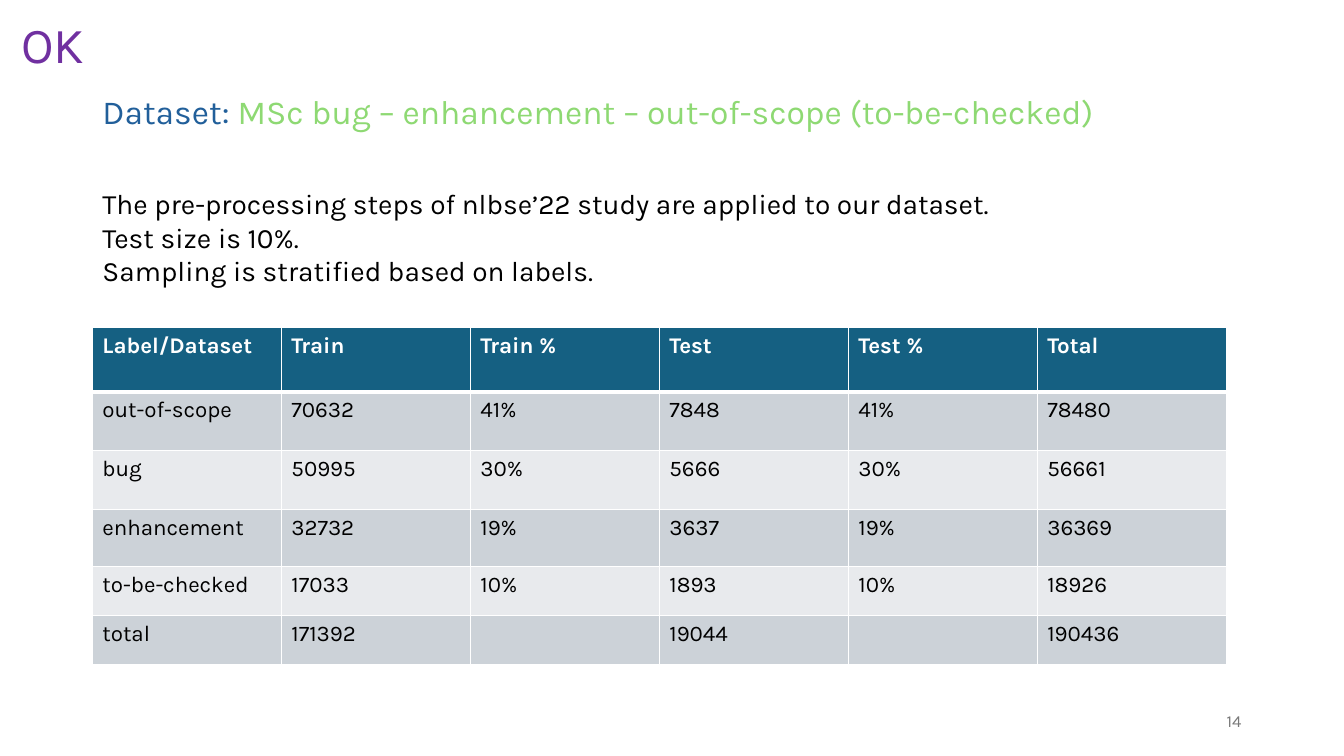
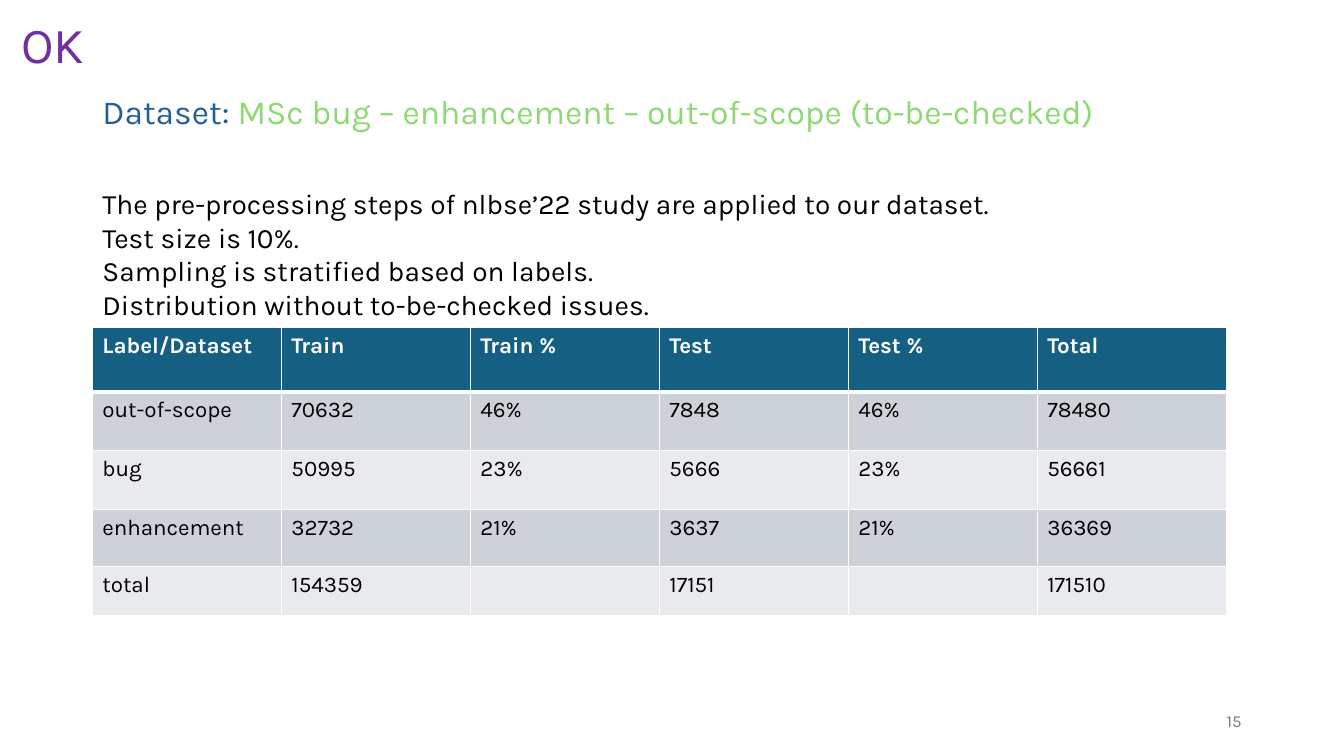
"""Build two dataset slides, each with an intro and a label distribution table."""
from lxml.etree import SubElement
from pptx import Presentation
from pptx.dml.color import RGBColor
from pptx.enum.text import MSO_ANCHOR, MSO_AUTO_SIZE, PP_ALIGN
from pptx.oxml.ns import qn
from pptx.util import Pt

INTRO = [
    "The pre-processing steps of nlbse’22 study are applied to our dataset.",
    "Test size is 10%.",
    "Sampling is stratified based on labels.",
]
HEADER = ["Label/Dataset", "Train", "Train %", "Test", "Test %", "Total"]


def color(value):
    return RGBColor.from_string(value)


def write(para, text, size=16, fill="000000", bold=False):
    span = para.add_run()
    span.text = text
    span.font.name = "Karla"
    span.font.size = Pt(size)
    span.font.bold = bold
    span.font.color.rgb = color(fill)


def place(shape, left, top, width, height):
    shape.left, shape.top = Pt(left), Pt(top)
    shape.width, shape.height = Pt(width), Pt(height)


def border(cell, side, width):
    line = SubElement(cell._tc.get_or_add_tcPr(), qn(f"a:ln{side}"), w=str(Pt(width)))
    SubElement(SubElement(line, qn("a:solidFill")), qn("a:srgbClr"), val="FFFFFF")


class DatasetDeck:
    left = 66
    blue, green, purple, grey = "215F9A", "8ED973", "7030A0", "797979"
    header_fill, band_fills = "156082", ("CCD2D8", "E8EAED")
    column_width = 135
    row_heights = (46, 42, 42, 41)
    short_row = 35

    def __init__(self):
        self.deck = Presentation()
        self.deck.slide_width, self.deck.slide_height = Pt(960), Pt(540)
        self.page = None

    def add_page(self, number):
        self.page = self.deck.slides.add_slide(self.deck.slide_layouts[1])
        self.add_title("Dataset: ", "MSc bug – enhancement – out-of-scope (to-be-checked)")
        self.add_label("OK", (8, 6, 153, 51), size=36, fill=self.purple)
        self.add_label(str(number), (678, 500, 216, 29), align=PP_ALIGN.RIGHT,
                       anchor=MSO_ANCHOR.MIDDLE, size=12, fill=self.grey)

    def add_title(self, lead, topic):
        title = self.page.shapes.title
        place(title, self.left, 29, 893, 104)
        title.text_frame.auto_size = MSO_AUTO_SIZE.NONE
        title.text_frame.vertical_anchor = MSO_ANCHOR.MIDDLE
        para = title.text_frame.paragraphs[0]
        para.alignment = PP_ALIGN.LEFT
        para.line_spacing = 0.9
        write(para, lead, size=24, fill=self.blue)
        write(para, topic, size=24, fill=self.green)

    def add_label(self, text, area, align=PP_ALIGN.LEFT, anchor=MSO_ANCHOR.TOP, **style):
        box = self.page.shapes.add_textbox(*map(Pt, area))
        box.text_frame.word_wrap = True
        box.text_frame.vertical_anchor = anchor
        para = box.text_frame.paragraphs[0]
        para.alignment = align
        write(para, text, **style)

    def add_body(self, lines):
        body = self.page.placeholders[1]
        place(body, self.left, 129.6, 828, 104)
        frame = body.text_frame
        frame.auto_size = MSO_AUTO_SIZE.NONE
        for index, text in enumerate(lines):
            para = frame.add_paragraph() if index else frame.paragraphs[0]
            properties = para._p.get_or_add_pPr()
            properties.set("marL", "0")
            properties.set("indent", "0")
            SubElement(properties, qn("a:buNone"))
            para.space_before = Pt(0)
            write(para, text, size=20)

    def add_table(self, records):
        rows = [HEADER] + records
        heights = [*self.row_heights, *[self.short_row] * (len(rows) - len(self.row_heights))]
        table = self.page.shapes.add_table(
            len(rows), len(HEADER), Pt(self.left), Pt(234),
            Pt(self.column_width * len(HEADER)), Pt(sum(heights))).table
        table.horz_banding = False
        for column in table.columns:
            column.width = Pt(self.column_width)
        for index, (values, height) in enumerate(zip(rows, heights)):
            table.rows[index].height = Pt(height)
            for position, text in enumerate(values):
                self.fill_cell(table.cell(index, position), text, index)

    def fill_cell(self, cell, text, row):
        widths = {"L": 1, "R": 1, "T": 3 if row == 1 else 1, "B": 3 if row == 0 else 1}
        for side, width in widths.items():
            border(cell, side, width)
        is_header = row == 0
        cell.fill.solid()
        cell.fill.fore_color.rgb = color(
            self.header_fill if is_header else self.band_fills[(row - 1) % 2])
        if text:
            write(cell.text_frame.paragraphs[0], text, bold=is_header,
                  fill="FFFFFF" if is_header else "000000")


def label_rows(shares):
    counts = [
        ("out-of-scope", 70632, 7848),
        ("bug", 50995, 5666),
        ("enhancement", 32732, 3637),
        ("to-be-checked", 17033, 1893),
    ][:len(shares)]
    rows = [[label, str(train), share, str(test), share, str(train + test)]
            for (label, train, test), share in zip(counts, shares)]
    train_total = sum(train for _, train, _ in counts)
    test_total = sum(test for _, _, test in counts)
    return rows + [["total", str(train_total), "", str(test_total), "",
                    str(train_total + test_total)]]


def main():
    slides = DatasetDeck()
    pages = [
        (14, INTRO, ["41%", "30%", "19%", "10%"]),
        (15, INTRO + ["Distribution without to-be-checked issues."], ["46%", "23%", "21%"]),
    ]
    for number, lines, shares in pages:
        slides.add_page(number)
        slides.add_body(lines)
        slides.add_table(label_rows(shares))
    slides.deck.save("out.pptx")


if __name__ == "__main__":
    main()
